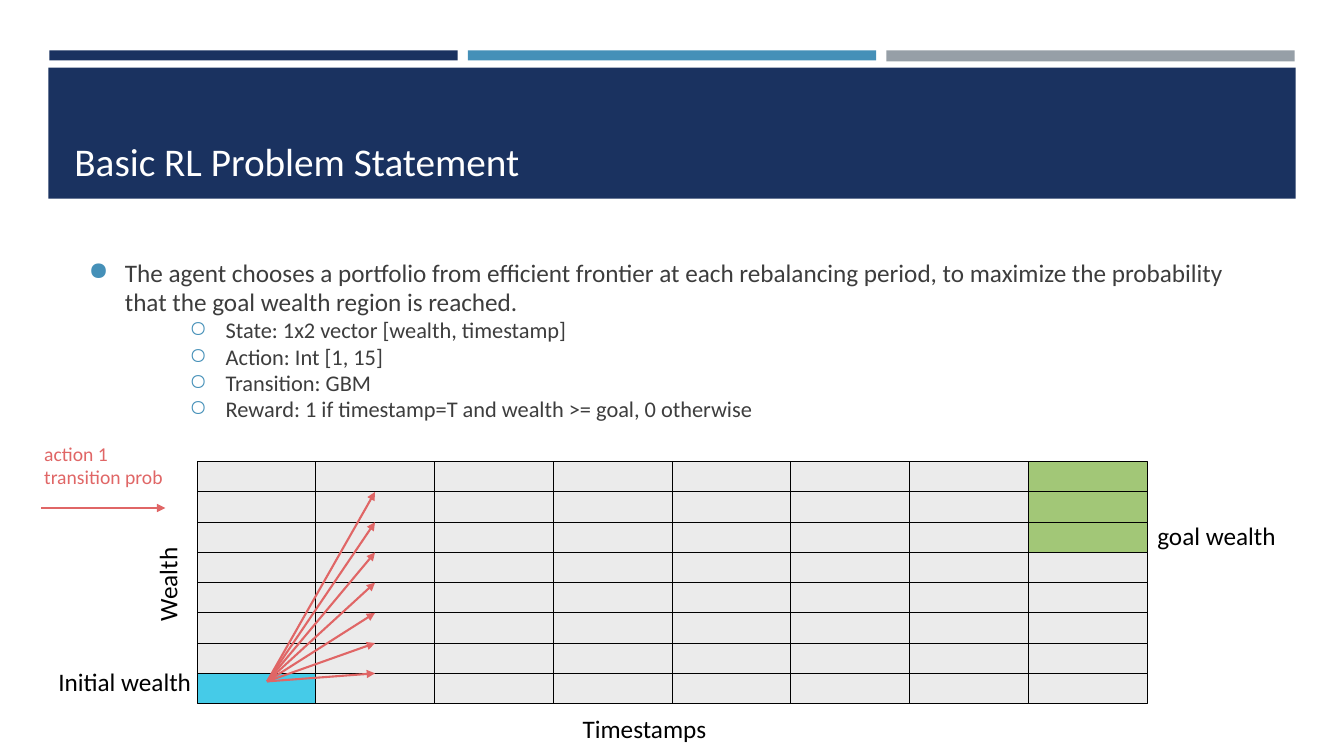
from lxml import etree
from pptx import Presentation
from pptx.dml.color import RGBColor
from pptx.enum.shapes import MSO_CONNECTOR, MSO_SHAPE
from pptx.enum.text import MSO_ANCHOR
from pptx.oxml.ns import qn
from pptx.util import Pt

EMU_PER_PX = 9144
RECTANGLE = MSO_SHAPE.RECTANGLE
STRAIGHT = MSO_CONNECTOR.STRAIGHT
TOP, MIDDLE, BOTTOM = MSO_ANCHOR.TOP, MSO_ANCHOR.MIDDLE, MSO_ANCHOR.BOTTOM

NAVY, BLUE, GREY = "1A3260", "4590B8", "969FA7"
WHITE, BLACK, INK = "FFFFFF", "000000", "3D3D3D"
CELL_GREY, INITIAL_CYAN, GOAL_GREEN = "EBEBEB", "45CBE8", "A2C777"
ACTION_RED = "E06666"

COLUMNS, ROWS, GOAL_ROWS = 8, 8, 3
GRID_LEFT, GRID_TOP, GRID_WIDTH = 196, 458, 942
CELL_WIDTH, CELL_HEIGHT = 118, 30


def px(length):
    return length * EMU_PER_PX


def color(hex_code):
    return RGBColor.from_string(hex_code)


class SlideBuilder:
    """Draws styled elements on one slide, with lengths in px of 1/100 inch."""

    font = "Calibri"

    def __init__(self, slide):
        self.shapes = slide.shapes

    def rect(self, left, top, width, height, fill, outline=None):
        box = self.shapes.add_shape(RECTANGLE, px(left), px(top), px(width), px(height))
        box.shadow.inherit = False
        box.fill.solid()
        box.fill.fore_color.rgb = color(fill)
        if outline:
            box.line.color.rgb = color(outline)
            box.line.width = Pt(0.75)
        else:
            box.line.fill.background()

    def arrow(self, x1, y1, x2, y2):
        arrow = self.shapes.add_connector(STRAIGHT, px(x1), px(y1), px(x2), px(y2))
        arrow.line.color.rgb = color(ACTION_RED)
        arrow.line.width = Pt(1.5)
        etree.SubElement(arrow.line._ln, qn("a:tailEnd"), type="triangle")
        etree.SubElement(arrow._element.spPr, qn("a:effectLst"))

    def frame(self, left, top, width, height, anchor=TOP, inset=10, rotation=0):
        box = self.shapes.add_textbox(px(left), px(top), px(width), px(height))
        box.rotation = rotation
        frame = box.text_frame
        frame.word_wrap = True
        frame.vertical_anchor = anchor
        frame.margin_left = frame.margin_right = px(10)
        frame.margin_top = frame.margin_bottom = px(inset)
        return frame

    def add_text(self, frame, text, size=18, ink=BLACK, bullet=None, indent=0,
                 level=0, spacing=None):
        first = frame.paragraphs[0]
        paragraph = frame.add_paragraph() if first.runs else first
        paragraph.level = level
        if spacing:
            paragraph.line_spacing = spacing
        if bullet:
            properties = paragraph._p.get_or_add_pPr()
            properties.set("marL", str(px(indent)))
            properties.set("indent", str(px(-36)))
            bullet_color = etree.SubElement(properties, qn("a:buClr"))
            etree.SubElement(bullet_color, qn("a:srgbClr"), val=BLUE)
            etree.SubElement(properties, qn("a:buChar"), char=bullet)
        run = paragraph.add_run()
        run.text = text
        run.font.name = self.font
        run.font.size = Pt(size)
        run.font.color.rgb = color(ink)


def cell_color(column, row):
    if column == 0 and row == ROWS - 1:
        return INITIAL_CYAN
    if column == COLUMNS - 1 and row < GOAL_ROWS:
        return GOAL_GREEN
    return CELL_GREY


def draw_header(page):
    for left, top, height, fill in ((49, 50, 10, NAVY), (879, 50, 11, GREY),
                                    (464, 50, 10, BLUE)):
        page.rect(left, top, 405, height, fill)
    page.rect(48, 67, 1237, 130, NAVY)
    title = page.frame(64, 77, 1206, 111, anchor=BOTTOM, inset=5)
    page.add_text(title, "Basic RL Problem Statement", size=28, ink=WHITE)


def draw_statement(page):
    body = page.frame(64, 218, 1206, 240, anchor=MIDDLE, inset=5)
    page.add_text(body, "The agent chooses a portfolio from efficient frontier at each "
                  "rebalancing period, to maximize the probability that the goal wealth "
                  "region is reached.", ink=INK, bullet="●", indent=50, spacing=0.98)
    for part in ("State: 1x2 vector [wealth, timestamp]",
                 "Action: Int [1, 15]",
                 "Transition: GBM",
                 "Reward: 1 if timestamp=T and wealth >= goal, 0 otherwise"):
        page.add_text(body, part, size=16, ink=INK, bullet="○", indent=150,
                      level=1, spacing=0.98)


def draw_wealth_grid(page):
    for column in range(COLUMNS):
        left = GRID_LEFT + GRID_WIDTH * column // COLUMNS
        for row in range(ROWS):
            page.rect(left, GRID_TOP + row * CELL_HEIGHT, CELL_WIDTH, CELL_HEIGHT,
                      cell_color(column, row), outline=BLACK)
    for label, left, top, width, rotation in (("Initial wealth", 48, 651, 217, 0),
                                              ("goal wealth", 1138, 506, 195, 0),
                                              ("Timestamps", 568, 698, 144, 0),
                                              ("Wealth", 94, 529, 144, 270)):
        page.add_text(page.frame(left, top, width, 50, rotation=rotation), label)


def draw_transitions(page):
    for row in range(1, ROWS):
        page.arrow(265, 676, 372, GRID_TOP + row * CELL_HEIGHT)
    page.arrow(41, 504, 164, 504)
    legend = page.frame(34, 428, 162, 67)
    for line in ("action 1", "transition prob"):
        page.add_text(legend, line, size=14, ink=ACTION_RED)


def main():
    deck = Presentation()
    deck.slide_width, deck.slide_height = px(1333), px(750)
    page = SlideBuilder(deck.slides.add_slide(deck.slide_layouts[6]))
    draw_header(page)
    draw_statement(page)
    draw_wealth_grid(page)
    draw_transitions(page)
    deck.save("out.pptx")


if __name__ == "__main__":
    main()
